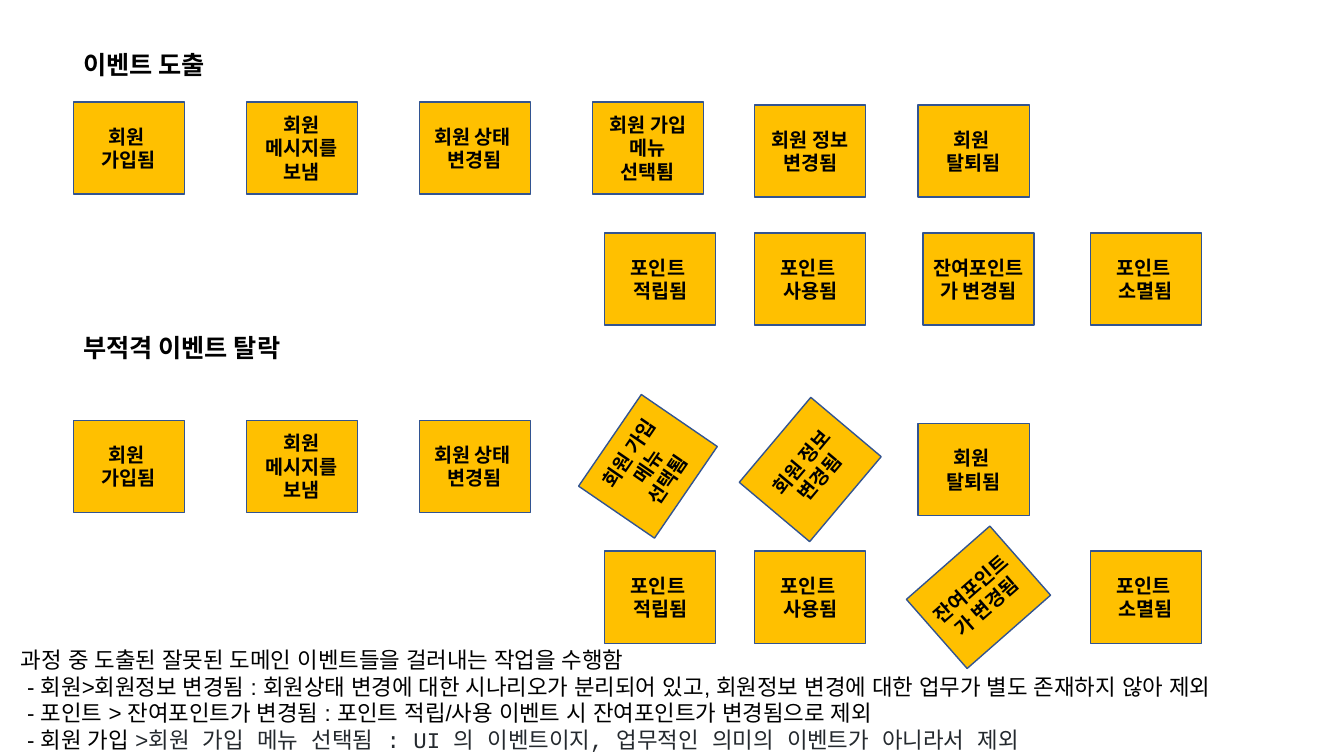
from lxml.etree import SubElement
from pptx import Presentation
from pptx.dml.color import RGBColor
from pptx.enum.shapes import MSO_SHAPE
from pptx.enum.text import MSO_ANCHOR, MSO_AUTO_SIZE, PP_ALIGN
from pptx.oxml.ns import qn
from pptx.util import Cm, Pt

COLORS = {"text": "000000", "card": "FFC000", "border": "325491", "muted": "24292E"}
KOREAN, LATIN, MONO = "Noto Sans CJK KR", "Arial", "Courier New"
CARD_WIDTH, CARD_HEIGHT = 2.8, 2.32
COLUMN_PITCH = 4.36

EVENTS = [
    (0, 0, "회원 \n가입됨"),
    (COLUMN_PITCH, 0, "회원 메시지를 보냄"),
    (COLUMN_PITCH * 2, 0, "회원 상태 \n변경됨"),
    (COLUMN_PITCH * 3, 0, "회원 가입 메뉴 선택툄"),
    (17.17, 0.08, "회원 정보 변경됨"),
    (21.29, 0.08, "회원 \n탈퇴됨"),
    (13.39, 3.3, "포인트 \n적립됨"),
    (17.17, 3.3, "포인트 \n사용됨"),
    (21.41, 3.3, "잔여포인트가 변경됨"),
    (25.63, 3.3, "포인트 \n소멸됨"),
]
REJECTED = {
    "회원 가입 메뉴 선택툄": 304.4,
    "회원 정보 변경됨": 310.1,
    "잔여포인트가 변경됨": 318.7,
}
NOTES = [
    [("과정 중 도출된 잘못된 도메인 이벤트들을 걸러내는 작업을 수행함", LATIN, "text")],
    [(" - 회원>회원정보 변경됨 : 회원상태 변경에 대한 시나리오가 분리되어 있고, "
      "회원정보 변경에 대한 업무가 별도 존재하지 않아 제외", LATIN, "text")],
    [(" - 포인트 > 잔여포인트가 변경됨 : 포인트 적립/사용 이벤트 시 "
      "잔여포인트가 변경됨으로 제외", LATIN, "text")],
    [(" - 회원 가입 ", LATIN, "text"),
     (">회원 가입 메뉴 선택됨 : UI 의 이벤트이지, 업무적인 의미의 이벤트가 "
      "아니라서 제외", MONO, "muted")],
]


def style_font(font, name, size, color="text", bold=False):
    """Set face, size, colour and weight of a font, also for Korean glyphs."""
    font.name, font.size, font.bold = name, Pt(size), bold
    font.color.rgb = RGBColor.from_string(COLORS[color])
    SubElement(font._element, qn("a:ea"), typeface=name)


def fill_heading(shape, left, top, text):
    """Place a section heading and write its text."""
    shape.left, shape.top, shape.width, shape.height = Cm(left), Cm(top), Cm(6.43), Cm(1.19)
    frame = shape.text_frame
    frame.text = text
    frame.word_wrap = True
    frame.auto_size = MSO_AUTO_SIZE.NONE
    frame.vertical_anchor = MSO_ANCHOR.MIDDLE
    paragraph = frame.paragraphs[0]
    paragraph.alignment = PP_ALIGN.LEFT
    paragraph.line_spacing = 1.0
    paragraph.space_before = Pt(0)
    style_font(paragraph.font, KOREAN, 18, bold=True)


def add_card(shapes, left, top, text, rotation):
    """Add one event card, turned when the event is rejected."""
    card = shapes.add_shape(
        MSO_SHAPE.RECTANGLE, Cm(left), Cm(top), Cm(CARD_WIDTH), Cm(CARD_HEIGHT))
    card.rotation = rotation
    card.shadow.inherit = False
    card.fill.solid()
    card.fill.fore_color.rgb = RGBColor.from_string(COLORS["card"])
    card.line.color.rgb = RGBColor.from_string(COLORS["border"])
    card.line.width = Pt(1)
    frame = card.text_frame
    frame.text = text
    frame.word_wrap = True
    frame.vertical_anchor = MSO_ANCHOR.MIDDLE
    for paragraph in frame.paragraphs:
        paragraph.alignment = PP_ALIGN.CENTER
        style_font(paragraph.font, KOREAN, 14, bold=True)


def add_event_board(slide, left, top, rotations):
    """Add the grouped event cards relative to the board's corner."""
    board = slide.shapes.add_group_shape()
    for offset_x, offset_y, text in EVENTS:
        add_card(board.shapes, left + offset_x, top + offset_y, text, rotations.get(text, 0))


def add_notes_text(slide, left, top, width, height):
    """Add the reasons for the rejected events."""
    box = slide.shapes.add_textbox(Cm(left), Cm(top), Cm(width), Cm(height))
    frame = box.text_frame
    frame.word_wrap = True
    frame.auto_size = MSO_AUTO_SIZE.SHAPE_TO_FIT_TEXT
    frame.vertical_anchor = MSO_ANCHOR.MIDDLE
    frame.margin_left = frame.margin_right = frame.margin_top = frame.margin_bottom = 0
    for index, parts in enumerate(NOTES):
        paragraph = frame.add_paragraph() if index else frame.paragraphs[0]
        for text, name, color in parts:
            run = paragraph.add_run()
            run.text = text
            if len(parts) > 1:
                style_font(run.font, name, 16, color)
        if len(parts) == 1:
            style_font(paragraph.font, name, 16, color)


def main():
    """Build and save the event storming slide."""
    presentation = Presentation()
    presentation.slide_width, presentation.slide_height = Cm(33.87), Cm(19.05)
    slide = presentation.slides.add_slide(presentation.slide_layouts[5])
    left = 1.85
    fill_heading(slide.shapes.title, left, 1.04, "이벤트 도출")
    fill_heading(slide.shapes.add_textbox(0, 0, 0, 0), left, 8.15, "부적격 이벤트 탈락")
    add_event_board(slide, left, 2.57, {})
    add_event_board(slide, left, 10.59, REJECTED)
    add_notes_text(slide, 0.53, 16.26, 35.74, 2.74)
    presentation.save("out.pptx")


if __name__ == "__main__":
    main()
